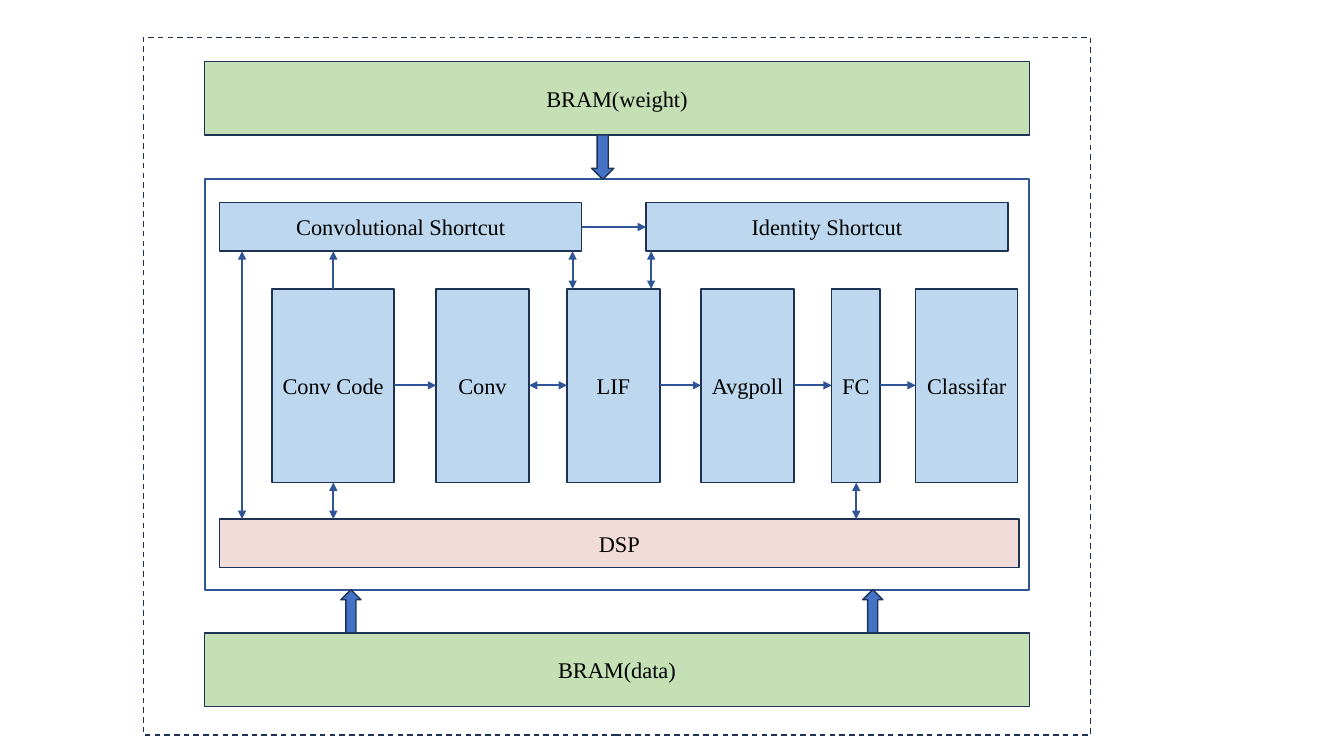
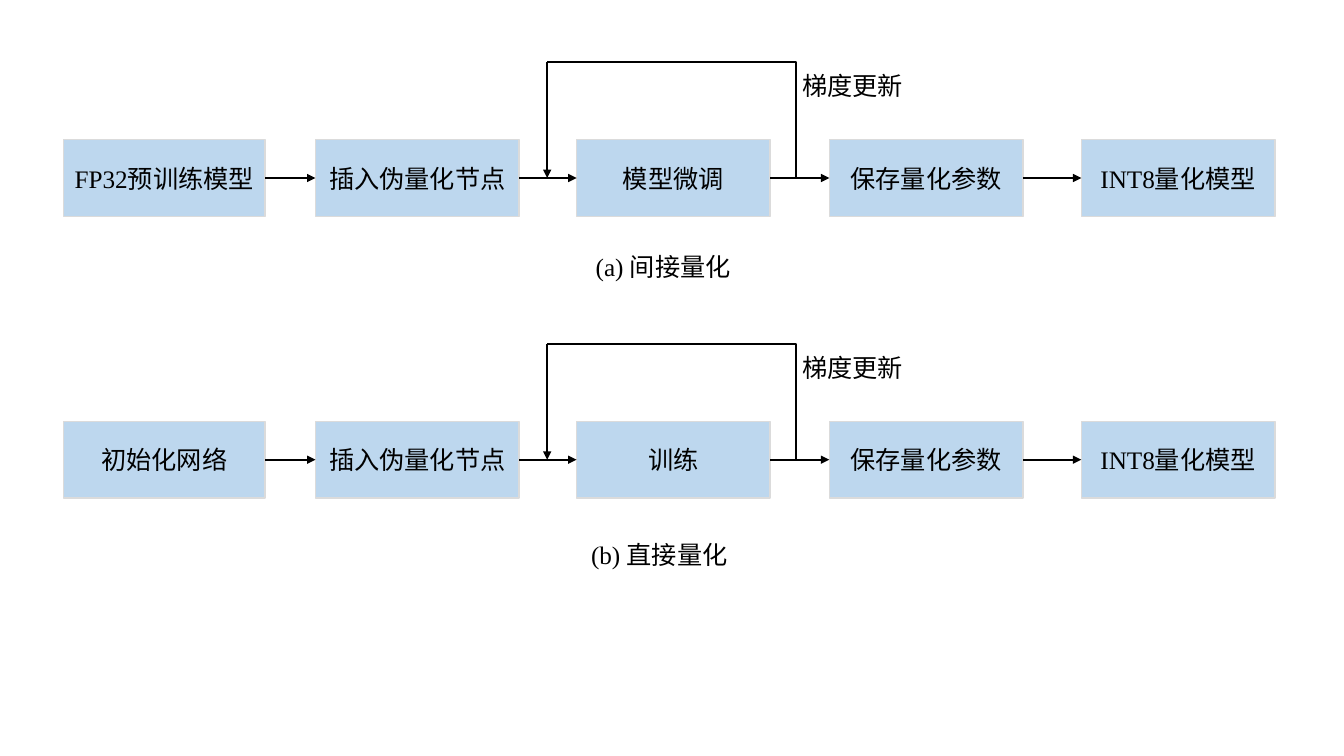
from dataclasses import dataclass
from itertools import pairwise

from lxml.etree import SubElement
from pptx import Presentation
from pptx.dml.color import RGBColor
from pptx.enum.dml import MSO_LINE
from pptx.enum.shapes import MSO_CONNECTOR, MSO_SHAPE
from pptx.enum.text import MSO_ANCHOR, PP_ALIGN
from pptx.oxml.ns import qn
from pptx.util import Cm, Pt


@dataclass(frozen=True)
class Theme:
    latin: str = "Times New Roman"
    asian: str = "Noto Sans CJK SC"
    text: str = "000000"
    memory: str = "C5E0B4"
    module: str = "BDD7EE"
    processor: str = "F2DCDA"
    block_arrow: str = "4472C4"
    outline: str = "1E3256"
    data_path: str = "2F5597"
    step_outline: str = "DBDBDB"
    flow: str = "000000"
    block_size: int = 16
    step_size: int = 18
    thin: float = 1
    medium: float = 1.5


class Diagram:
    """Draws diagram elements on the current slide; all lengths are in cm."""

    def __init__(self, deck, theme):
        self.deck = deck
        self.theme = theme
        self.slide = None

    def new_slide(self):
        blank_layout = self.deck.slide_layouts[6]
        self.slide = self.deck.slides.add_slide(blank_layout)

    def add_text(self, frame, runs, size, wrap=True):
        """Fill a text frame with one centred paragraph of (text, font) runs."""
        frame.word_wrap = wrap
        para = frame.paragraphs[0]
        para.alignment = PP_ALIGN.CENTER
        for text, font_name in runs:
            span = para.add_run()
            span.text = text
            span.font.size = Pt(size)
            span.font.name = font_name
            span.font.color.rgb = RGBColor.from_string(self.theme.text)
            SubElement(span.font._element, qn("a:ea"), typeface=self.theme.asian)

    def shape(self, left, top, width, height, fill=None, line=None,
              line_width=None, kind=MSO_SHAPE.RECTANGLE):
        shape = self.slide.shapes.add_shape(
            kind, Cm(left), Cm(top), Cm(width), Cm(height))
        shape.shadow.inherit = False
        if fill:
            shape.fill.solid()
            shape.fill.fore_color.rgb = RGBColor.from_string(fill)
        else:
            shape.fill.background()
        shape.line.color.rgb = RGBColor.from_string(line or self.theme.outline)
        shape.line.width = Pt(line_width or self.theme.thin)
        return shape

    def block(self, text, left, top, width, height, fill):
        box = self.shape(left, top, width, height, fill)
        box.text_frame.vertical_anchor = MSO_ANCHOR.MIDDLE
        self.add_text(box.text_frame, [(text, self.theme.latin)],
                      self.theme.block_size, wrap=False)

    def step(self, text, left, top, width, height):
        box = self.shape(left, top, width, height, self.theme.module,
                         self.theme.step_outline)
        box.text_frame.vertical_anchor = MSO_ANCHOR.MIDDLE
        self.add_text(box.text_frame, [(text, self.theme.latin)],
                      self.theme.step_size)

    def label(self, runs, left, top, width=7.11, height=1.02):
        box = self.slide.shapes.add_textbox(
            Cm(left), Cm(top), Cm(width), Cm(height))
        self.add_text(box.text_frame, runs, self.theme.step_size)

    def connector(self, start, end, color, heads=(), kind=MSO_CONNECTOR.STRAIGHT):
        """Join two points; heads names the ends with a triangle: headEnd, tailEnd."""
        connector = self.slide.shapes.add_connector(
            kind, *(Cm(value) for value in (*start, *end)))
        connector.line.color.rgb = RGBColor.from_string(color)
        connector.line.width = Pt(self.theme.medium)
        properties = connector._element.spPr
        outline = properties.find(qn("a:ln"))
        for head in heads:
            SubElement(outline, qn(f"a:{head}"), type="triangle")
        SubElement(properties, qn("a:effectLst"))
        return connector

    def arrow(self, start, end, color, both=False):
        heads = ("headEnd", "tailEnd") if both else ("tailEnd",)
        self.connector(start, end, color, heads)

    def feedback(self, start, end, drop):
        """Rise from start, run across to end, then drop to an arrowhead."""
        elbow = self.connector(start, end, self.theme.flow, kind=MSO_CONNECTOR.ELBOW)
        geometry = elbow._element.spPr.find(qn("a:prstGeom"))
        adjustments = geometry.find(qn("a:avLst"))
        if adjustments is None:
            adjustments = SubElement(geometry, qn("a:avLst"))
        SubElement(adjustments, qn("a:gd"), name="adj1", fmla="val 400")
        self.arrow(end, (end[0], end[1] + drop), self.theme.flow)


def draw_accelerator(diagram):
    theme = diagram.theme
    diagram.new_slide()

    chip = diagram.shape(3.61, 0.94, 23.88, 17.58)
    chip.line.dash_style = MSO_LINE.DASH
    for text, top in (("BRAM(weight)", 1.55), ("BRAM(data)", 15.95)):
        diagram.block(text, 5.16, top, 20.78, 1.85, theme.memory)
    diagram.shape(5.16, 4.52, 20.78, 10.34, line=theme.data_path,
                  line_width=theme.medium)

    diagram.shape(14.91, 3.4, 0.56, 1.12, theme.block_arrow, kind=MSO_SHAPE.DOWN_ARROW)
    for left in (8.59, 21.74):
        diagram.shape(left, 14.86, 0.51, 1.09, theme.block_arrow,
                      kind=MSO_SHAPE.UP_ARROW)

    for text, left in (("Convolutional Shortcut", 5.54), ("Identity Shortcut", 16.28)):
        diagram.block(text, left, 5.11, 9.12, 1.22, theme.module)
    diagram.block("DSP", 5.54, 13.08, 20.14, 1.22, theme.processor)

    layers = [
        ("Conv Code", 6.86, 3.07), ("Conv", 10.99, 2.34), ("LIF", 14.29, 2.34),
        ("Avgpoll", 17.67, 2.34), ("FC", 20.96, 1.22), ("Classifar", 23.08, 2.57),
    ]
    layer_top, layer_height = 7.28, 4.88
    for text, left, width in layers:
        diagram.block(text, left, layer_top, width, layer_height, theme.module)
    for (name, left, width), (_, next_left, _) in pairwise(layers):
        diagram.arrow((left + width, 9.71), (next_left, 9.71), theme.data_path,
                      both=name == "Conv")

    shortcut_bottom, dsp_top = 6.33, 13.08
    layer_bottom = layer_top + layer_height
    diagram.arrow((14.66, 5.72), (16.28, 5.72), theme.data_path)
    diagram.arrow((8.4, layer_top), (8.4, shortcut_bottom), theme.data_path)
    for x, top, bottom in (
        (14.43, shortcut_bottom, layer_top), (16.41, shortcut_bottom, layer_top),
        (6.1, shortcut_bottom, dsp_top),
        (8.4, layer_bottom, dsp_top), (21.58, layer_bottom, dsp_top),
    ):
        diagram.arrow((x, top), (x, bottom), theme.data_path, both=True)


def draw_quantization(diagram):
    theme = diagram.theme
    diagram.new_slide()
    columns = [(1.6, 5.08), (7.95, 5.13), (14.53, 4.88), (20.9, 4.88), (27.25, 4.88)]
    height = 1.93
    flows = [
        (3.52, "FP32预训练模型", "模型微调", "(a) ", "间接量化", 13.16, 6.2),
        (10.62, "初始化网络", "训练", "(b) ", "直接量化", 13.06, 13.46),
    ]
    for top, source, training, number, caption, caption_left, caption_top in flows:
        middle = top + height / 2
        steps = (source, "插入伪量化节点", training, "保存量化参数", "INT8量化模型")
        for text, (left, width) in zip(steps, columns):
            diagram.step(text, left, top, width, height)
        for (left, width), (next_left, _) in pairwise(columns):
            diagram.arrow((left + width, middle), (next_left, middle), theme.flow)
        loop_top = top - 1.96
        diagram.feedback((20.08, middle), (13.79, loop_top), middle - loop_top)
        diagram.label([("梯度更新", theme.latin)], 17.93, top - 1.87)
        diagram.label([(number, theme.latin), (caption, theme.asian)],
                      caption_left, caption_top)


def main():
    deck = Presentation()
    deck.slide_width, deck.slide_height = Cm(33.87), Cm(19.05)
    diagram = Diagram(deck, Theme())
    draw_accelerator(diagram)
    draw_quantization(diagram)
    deck.save("out.pptx")


if __name__ == "__main__":
    main()
